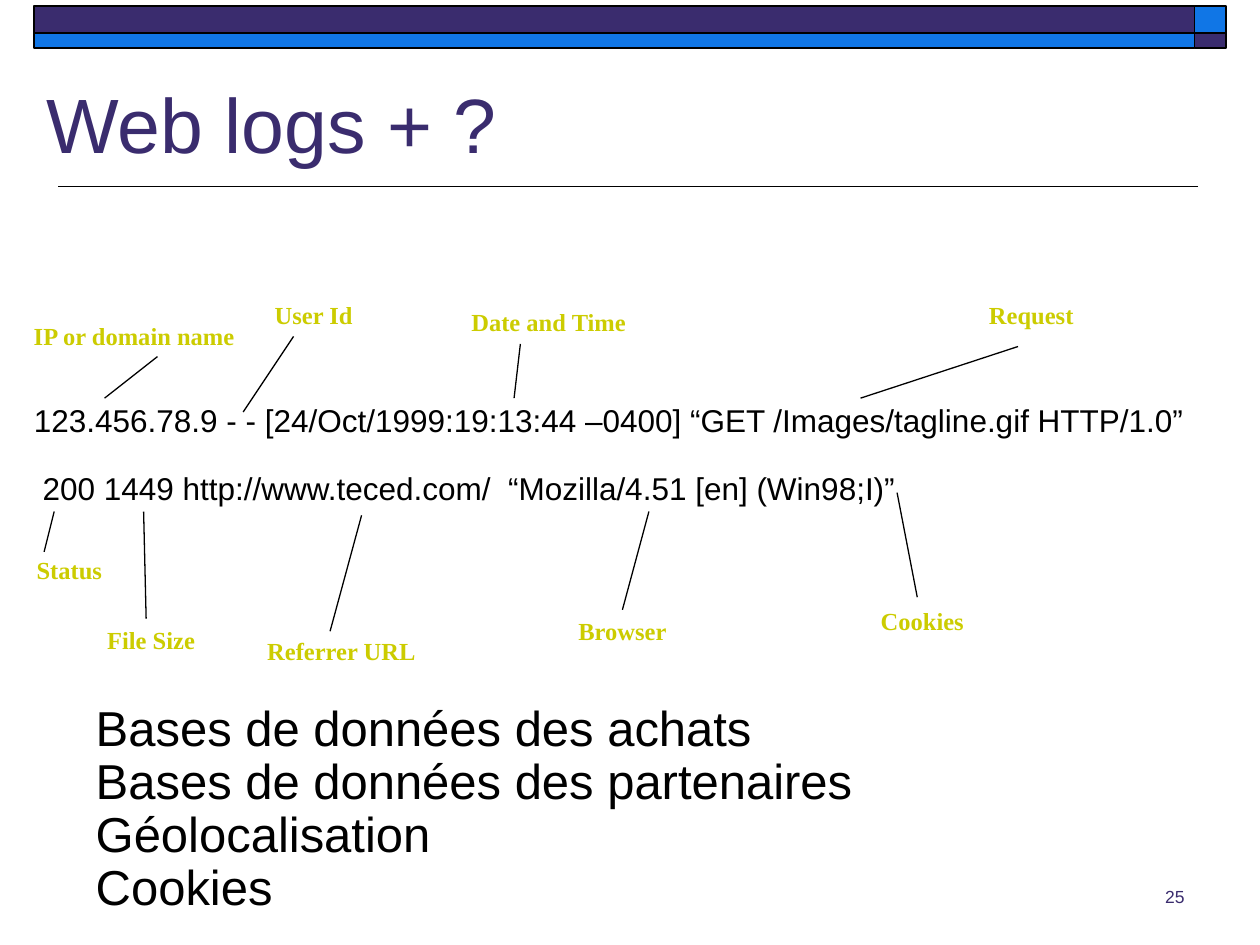
from lxml import etree
from pptx import Presentation
from pptx import util as u
from pptx.dml.color import RGBColor
from pptx.enum import shapes, text
from pptx.oxml.ns import qn

PURPLE = RGBColor(0x3A, 0x2C, 0x6E)
BLUE = RGBColor(0x10, 0x76, 0xE6)
OLIVE = RGBColor(0xCC, 0xCC, 0x00)
BLACK = RGBColor(0, 0, 0)

deck = Presentation()
deck.slide_width, deck.slide_height = u.Inches(10), u.Inches(7.5)
COLUMN, ROW = deck.slide_width / 100, deck.slide_height / 75
slide = deck.slides.add_slide(deck.slide_layouts[1])


def write(box, *lines, size, color, font="Arial", bold=False, spacing=1.0, gap=0,
          align=text.PP_ALIGN.LEFT, anchor=text.MSO_ANCHOR.TOP, wrap=True, grow=False):
    frame = box.text_frame
    frame.text = "\n".join(lines)
    frame.word_wrap = wrap
    frame.vertical_anchor = anchor
    fit = text.MSO_AUTO_SIZE
    frame.auto_size = fit.SHAPE_TO_FIT_TEXT if grow else fit.NONE
    for number, paragraph in enumerate(frame.paragraphs):
        paragraph.alignment = align
        paragraph.line_spacing = spacing
        paragraph.space_before = u.Pt(gap if number else 0)
        paragraph.font.size = u.Pt(size)
        paragraph.font.name = font
        paragraph.font.bold = bold
        paragraph.font.color.rgb = color


def draw_line(x1, y1, x2, y2, weight):
    line = slide.shapes.add_connector(
        shapes.MSO_CONNECTOR.STRAIGHT,
        int(x1 * COLUMN), int(y1 * ROW), int(x2 * COLUMN), int(y2 * ROW))
    line.line.color.rgb = BLACK
    line.line.width = u.Pt(weight)
    etree.SubElement(line._element.spPr, qn("a:effectLst"))
    return line


# Header band and title rule
draw_line(95.1, 14.8, 4.6, 14.8, 1)
for left, top, width, height, color in [
    (94.8, 0.5, 2.5, 2.1, BLUE),
    (2.7, 0.5, 92.1, 2.1, PURPLE),
    (2.7, 2.6, 92.1, 1.2, BLUE),
    (94.8, 2.6, 2.5, 1.2, PURPLE),
]:
    band = slide.shapes.add_shape(
        shapes.MSO_SHAPE.RECTANGLE,
        int(left * COLUMN), int(top * ROW), int(width * COLUMN), int(height * ROW))
    band.shadow.inherit = False
    band.fill.solid()
    band.fill.fore_color.rgb = color
    band.line.color.rgb = BLACK
    band.line.width = u.Pt(1)

# Title
title = slide.shapes.title
title.left, title.top = int(2.7 * COLUMN), int(5.2 * ROW)
title.width, title.height = int(94.5 * COLUMN), int(8.7 * ROW)
write(title, "Web logs + ?", size=44, color=PURPLE, anchor=text.MSO_ANCHOR.BOTTOM)

# Log entry
log_entry = slide.shapes.add_textbox(
    int(1.7 * COLUMN), int(31.7 * ROW), int(94.5 * COLUMN), int(8.3 * ROW))
write(log_entry,
      "123.456.78.9 - - [24/Oct/1999:19:13:44 –0400] “GET /Images/tagline.gif HTTP/1.0”",
      " 200 1449 http://www.teced.com/  “Mozilla/4.51 [en] (Win98;I)”",
      size=18, color=BLACK, spacing=0.9, gap=19.5)

# Field names: box (left, top, width), then pointer (from, to)
FIELD_HEIGHT = 3.4
for name, (left, top, width), start, end in [
    ("IP or domain name", (1.6, 25, 18.1), (12.5, 28.3), (8.3, 31.6)),
    ("User Id", (20.8, 23.3, 8.2), (23.3, 26.7), (19.3, 32.7)),
    ("Date and Time", (36.4, 23.9, 14.3), (41.3, 27.3), (40.8, 31.6)),
    ("Request", (77.5, 23.3, 8.7), (80.8, 27.5), (68.3, 31.6)),
    ("Status", (1.9, 43.6, 7.2), (3.5, 43.8), (4.3, 40.6)),
    ("File Size", (7.5, 49.1, 9), (11.6, 49.1), (11.4, 40.6)),
    ("Browser", (44.9, 48.4, 9), (49.2, 48.5), (51.5, 40.6)),
    ("Referrer URL", (20.2, 50, 13.8), (26.2, 50.1), (28.7, 40.9)),
    ("Cookies", (68.9, 47.6, 8.6), (72.8, 47.4), (71.2, 39.1)),
]:
    field = slide.shapes.add_textbox(
        int(left * COLUMN), int(top * ROW), int(width * COLUMN), int(FIELD_HEIGHT * ROW))
    write(field, name, size=14, color=OLIVE, font="Times New Roman", bold=True,
          align=text.PP_ALIGN.CENTER, wrap=False, grow=True)
    pointer = draw_line(*start, *end, 0.75)
    if abs(start[0] - (left + width / 2)) < 0.3:
        pointer.begin_connect(field, 0)

# Other data sources
sources = slide.placeholders[1]
sources.left, sources.top = int(6.6 * COLUMN), int(55.4 * ROW)
sources.width, sources.height = int(66 * COLUMN), int(19 * ROW)
write(sources, "Bases de données des achats", "Bases de données des partenaires",
      "Géolocalisation", "Cookies", size=28, color=BLACK, spacing=0.9)
for paragraph in sources.text_frame.paragraphs:
    properties = paragraph._p.get_or_add_pPr()
    properties.set("marL", "0")
    properties.set("indent", "0")
    bullet = properties.makeelement(qn("a:buNone"), {})
    properties.find(qn("a:defRPr")).addprevious(bullet)

# Page number
page_number = slide.shapes.add_textbox(
    int(74.2 * COLUMN), int(69.8 * ROW), int(20.8 * COLUMN), int(3.5 * ROW))
write(page_number, "25", size=10, color=PURPLE, align=text.PP_ALIGN.RIGHT)

deck.save("out.pptx")
